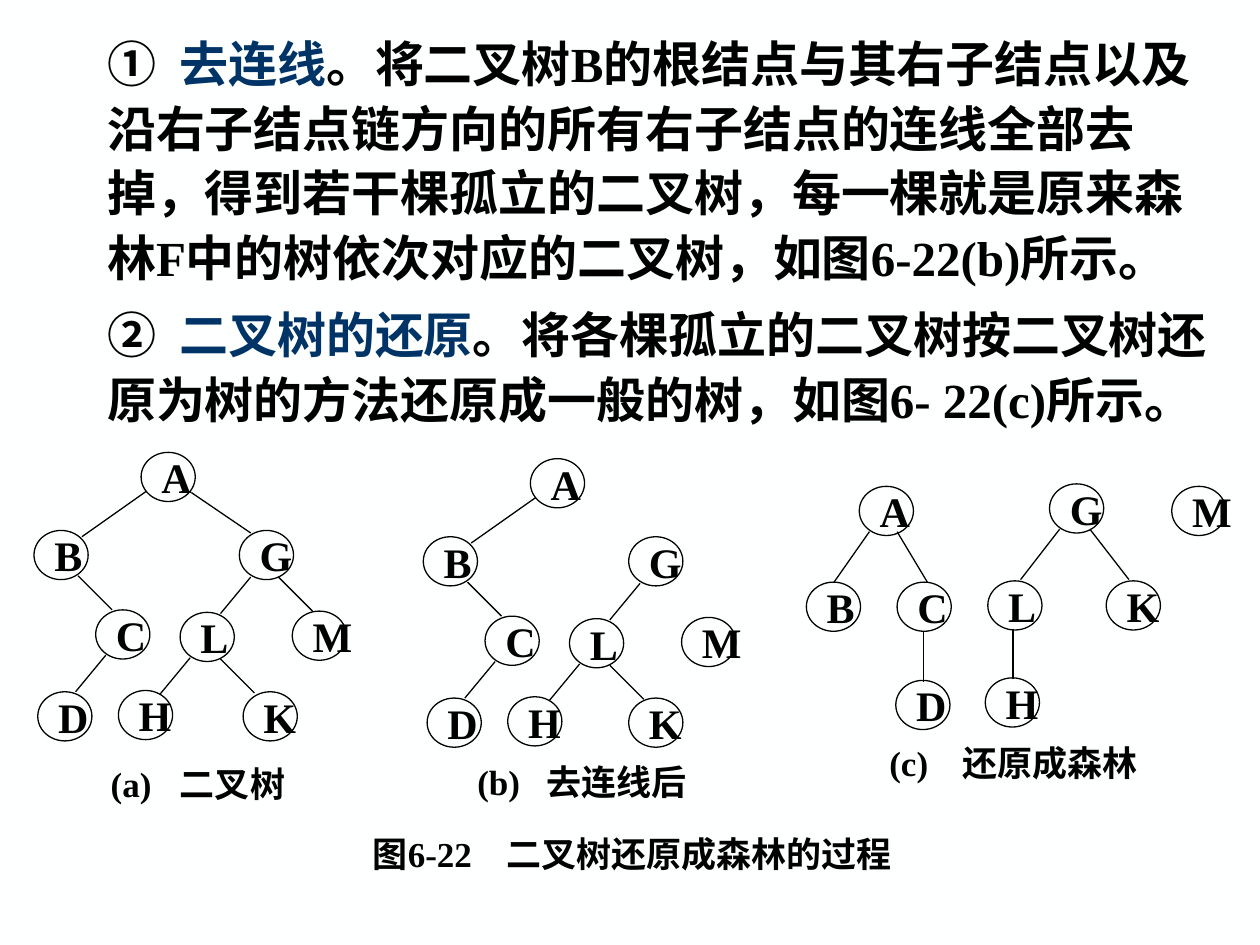
import dataclasses

import pptx
import pptx.dml.color
import pptx.enum.shapes
import pptx.enum.text
import pptx.oxml.ns
import pptx.util
from lxml import etree

Inches = pptx.util.Inches
Pt = pptx.util.Pt
qn = pptx.oxml.ns.qn


@dataclasses.dataclass(frozen=True)
class Theme:
    paper: str = "FEFFFF"
    ink: str = "000000"
    accent: str = "003366"
    latin: str = "Times New Roman"
    chinese: str = "Noto Sans CJK SC"
    body_size: int = 28
    node_size: int = 24
    caption_size: int = 20
    line_width: float = 0.75
    node_width: float = 0.43
    node_height: float = 0.39
    marker_spacing: int = 350


THEME = Theme()

STEPS = [
    [
        ("① ", THEME.ink, THEME.latin),
        ("去连线", THEME.accent, THEME.latin),
        ("。将二叉树B的根结点与其右子结点以及沿右子结点链方向的所有右子结点的连线全部去掉，"
         "得到若干棵孤立的二叉树，每一棵就是原来森林F中的树依次对应的二叉树，", THEME.ink, THEME.latin),
        ("如图", THEME.ink, THEME.chinese),
        ("6-22(b)所示", THEME.ink, THEME.latin),
        ("。", THEME.ink, THEME.chinese),
    ],
    [
        ("② ", THEME.ink, THEME.latin),
        ("二叉树的还原", THEME.accent, THEME.latin),
        ("。将各棵孤立的二叉树按二叉树还原为树的方法还原成一般的树，", THEME.ink, THEME.latin),
        ("如图", THEME.ink, THEME.chinese),
        ("6- 22(c)所示", THEME.ink, THEME.latin),
        ("。", THEME.ink, THEME.chinese),
    ],
]

BINARY_NODES = {
    "A": (0.85, 0), "B": (0, 0.62), "C": (0.49, 1.25), "D": (0.03, 1.9),
    "G": (1.63, 0.62), "L": (1.16, 1.27), "K": (1.66, 1.9),
    "H": (0.67, 1.89), "M": (2.05, 1.26),
}
CUT_NODES = {**BINARY_NODES, "K": (1.63, 1.9)}
KEPT_EDGES = [
    (0.89, 0.31, 0.38, 0.67), (0.35, 0.98, 0.62, 1.25),
    (0.57, 1.61, 0.33, 1.9), (1.72, 0.99, 1.48, 1.28),
    (1.24, 1.63, 1, 1.92), (1.48, 1.64, 1.75, 1.91),
]
RIGHT_CHAIN_EDGES = [(1.25, 0.32, 1.72, 0.64), (1.94, 0.99, 2.21, 1.26)]

FOREST_NODES = {
    "A": (0.42, 0.02), "B": (0, 0.78), "C": (0.72, 0.78), "D": (0.71, 1.56),
    "G": (1.93, 0), "L": (1.44, 0.77), "H": (1.42, 1.54),
    "K": (2.38, 0.77), "M": (2.9, 0.02),
}
FOREST_EDGES = [
    (0.5, 0.38, 0.22, 0.78), (0.72, 0.38, 0.96, 0.78),
    (0.93, 1.17, 0.93, 1.57), (2.01, 0.36, 1.7, 0.76),
    (2.25, 0.36, 2.56, 0.76), (1.64, 1.15, 1.64, 1.55),
]


def color(value):
    return pptx.dml.color.RGBColor.from_string(value)


def format_span(span, size, ink=THEME.ink, latin=THEME.latin):
    span.font.size = Pt(size)
    span.font.bold = True
    span.font.color.rgb = color(ink)
    span.font.name = latin
    etree.SubElement(span.font._element, qn("a:ea"), typeface=THEME.chinese)


def add_tab_stop(para, position):
    stops = etree.SubElement(para._p.get_or_add_pPr(), qn("a:tabLst"))
    etree.SubElement(stops, qn("a:tab"), pos=str(Inches(position)), algn="l")


def set_label(shape, text, size, wrap=False):
    frame = shape.text_frame
    frame.word_wrap = wrap
    frame.vertical_anchor = pptx.enum.text.MSO_ANCHOR.MIDDLE
    frame.text = text
    para = frame.paragraphs[0]
    para.alignment = pptx.enum.text.PP_ALIGN.LEFT
    format_span(para.runs[0], size)
    return para


def place_steps(page, left, top, width, height):
    body = page.placeholders[1]
    body.left, body.top, body.width, body.height = map(Inches, (left, top, width, height))
    frame = body.text_frame
    frame.word_wrap = True
    frame.auto_size = pptx.enum.text.MSO_AUTO_SIZE.NONE
    frame.vertical_anchor = pptx.enum.text.MSO_ANCHOR.TOP
    frame.margin_left = Inches(0.68)
    frame.margin_right = Inches(0.14)
    for index, step in enumerate(STEPS):
        para = frame.paragraphs[0] if index == 0 else frame.add_paragraph()
        para.line_spacing = 1.1
        para.space_before = Pt(7)
        properties = para._p.get_or_add_pPr()
        properties.set("marL", "0")
        properties.set("indent", "0")
        properties.set("hangingPunct", "0")
        etree.SubElement(properties, qn("a:buNone"))
        for text, ink, latin in step:
            span = para.add_run()
            span.text = text
            format_span(span, THEME.body_size, ink, latin)
        para.runs[0].font._element.set("spc", str(THEME.marker_spacing))


def place_caption(page, text, tab, left, top, width):
    box = page.shapes.add_textbox(Inches(left), Inches(top), Inches(width), Inches(0.39))
    add_tab_stop(set_label(box, text, THEME.caption_size, wrap=True), tab)


def place_tree(page, left, top, nodes, edges):
    for x1, y1, x2, y2 in edges:
        edge = page.shapes.add_connector(
            pptx.enum.shapes.MSO_CONNECTOR.STRAIGHT,
            Inches(left + x1), Inches(top + y1), Inches(left + x2), Inches(top + y2))
        edge.line.color.rgb = color(THEME.ink)
        edge.line.width = Pt(THEME.line_width)
        etree.SubElement(edge._element.spPr, qn("a:effectLst"))
    for letter, (x, y) in nodes.items():
        node = page.shapes.add_shape(
            pptx.enum.shapes.MSO_SHAPE.OVAL, Inches(left + x), Inches(top + y),
            Inches(THEME.node_width), Inches(THEME.node_height))
        node.shadow.inherit = False
        node.fill.background()
        node.line.color.rgb = color(THEME.ink)
        node.line.width = Pt(THEME.line_width)
        set_label(node, letter, THEME.node_size)


def main():
    deck = pptx.Presentation()
    deck.slide_width, deck.slide_height = Inches(10), Inches(7.5)
    page = deck.slides.add_slide(deck.slide_layouts[1])
    page.background.fill.solid()
    page.background.fill.fore_color.rgb = color(THEME.paper)
    title = page.shapes.title._element
    title.getparent().remove(title)

    place_steps(page, 0.17, 0.17, 9.67, 3.35)
    place_tree(page, 0.27, 3.59, BINARY_NODES, KEPT_EDGES + RIGHT_CHAIN_EDGES)
    place_tree(page, 3.36, 3.64, CUT_NODES, KEPT_EDGES)
    place_tree(page, 6.4, 3.84, FOREST_NODES, FOREST_EDGES)
    place_caption(page, "(a)\t二叉树", 0.55, 0.78, 6.02, 1.7)
    place_caption(page, "(b)\t去连线后", 0.55, 3.69, 6.01, 2)
    place_caption(page, "(c)\t还原成森林", 0.58, 6.96, 5.86, 2.4)
    place_caption(page, "图6-22\t二叉树还原成森林的过程", 1.06, 2.86, 6.58, 4.5)
    deck.save("out.pptx")


if __name__ == "__main__":
    main()
